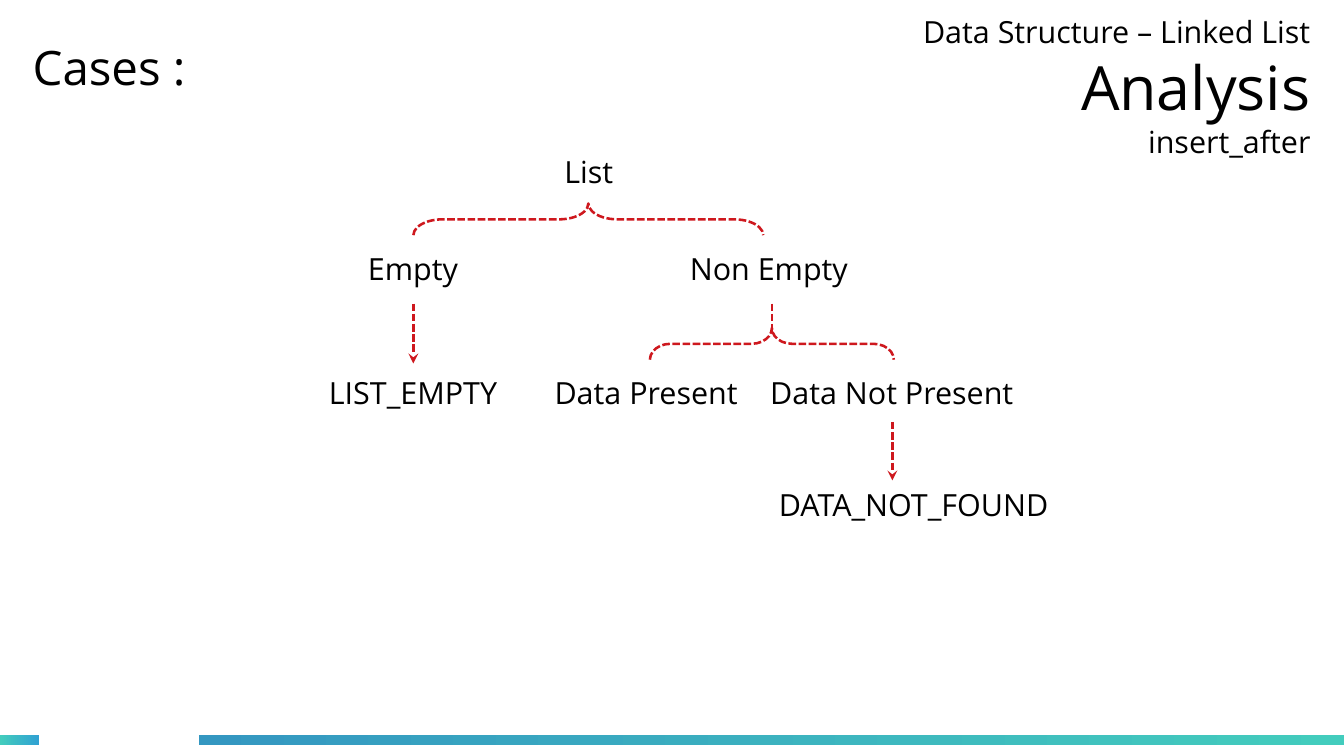
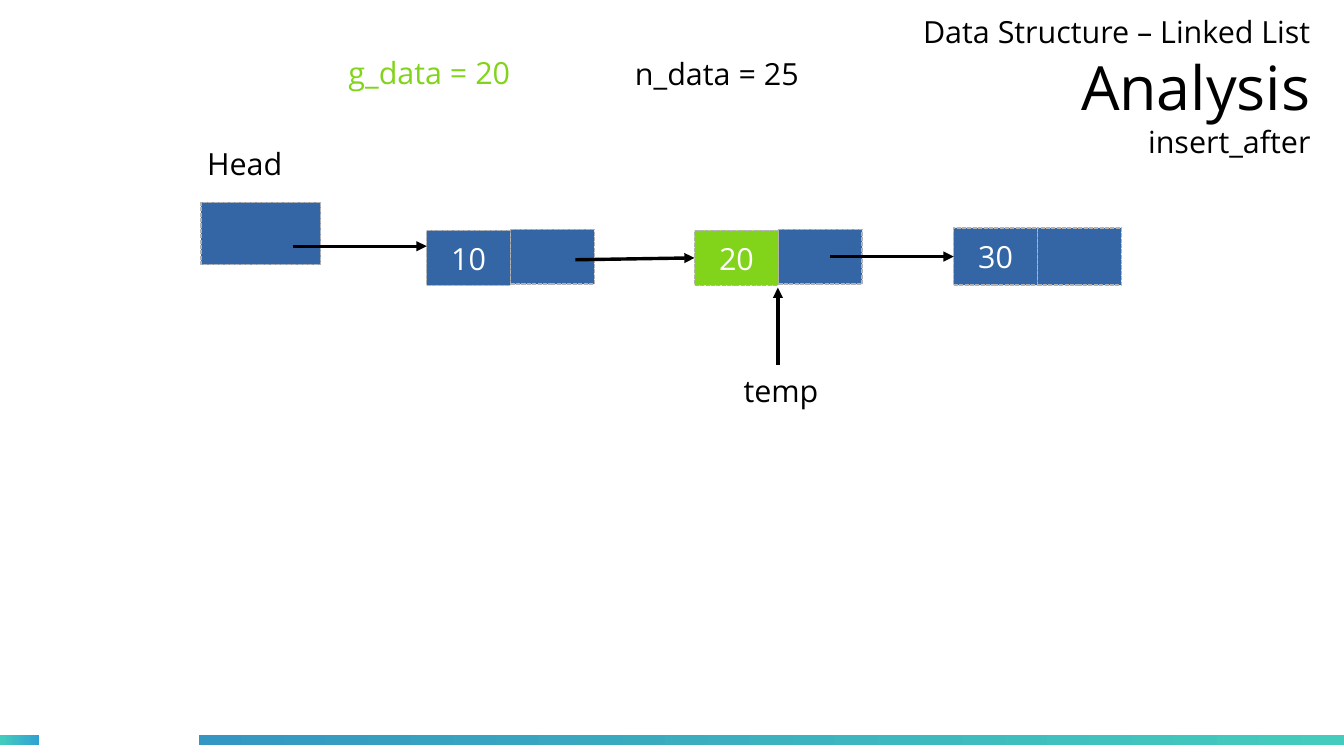
from pptx import Presentation
from pptx.dml.color import RGBColor
from pptx.enum.dml import MSO_LINE
from pptx.enum.shapes import MSO_CONNECTOR, MSO_SHAPE
from pptx.enum.text import MSO_ANCHOR, MSO_AUTO_SIZE, PP_ALIGN
from pptx.oxml.ns import qn
from pptx.util import Pt
from lxml import etree

RECTANGLE = MSO_SHAPE.RECTANGLE
LEFT_BRACE = MSO_SHAPE.LEFT_BRACE
STRAIGHT = MSO_CONNECTOR.STRAIGHT
DASHED = MSO_LINE.SQUARE_DOT
LEFT, CENTER, RIGHT = PP_ALIGN.LEFT, PP_ALIGN.CENTER, PP_ALIGN.RIGHT
TOP, MIDDLE = MSO_ANCHOR.TOP, MSO_ANCHOR.MIDDLE
NO_AUTOFIT = MSO_AUTO_SIZE.NONE
TITLE_ONLY = 5
LEFT_SIDE = 1

FONT = "Open Sans"
BLACK, WHITE = "000000", "FFFFFF"
RED, GREEN, BLUE, GREY = "CE181E", "81D41A", "3465A4", "B2B2B2"
TEAL, SKY, DEEP_SKY = "43CCBD", "30A2D2", "3497C1"

SLIDE_WIDTH, SLIDE_HEIGHT = 793.7, 446.4
BAND_TOP, BAND_HEIGHT = 434.2, 5.8
BANDS = [(0, 23, TEAL, SKY), (117.4, 676.3, DEEP_SKY, TEAL)]
TITLE_LINES = [("Data Structure – Linked List", 18), ("Analysis", 36),
               ("insert_after", 18)]

BRACE_DEPTH = 18.7
CELL_WIDTH = 49.5


def rgb(value):
    return RGBColor.from_string(value)


def write(shape, lines, color, align=LEFT, **frame_format):
    """Fill a shape with one paragraph per (text, size) pair."""
    frame = shape.text_frame
    for attribute, value in frame_format.items():
        setattr(frame, attribute, value)
    for index, (text, size) in enumerate(lines):
        paragraph = frame.add_paragraph() if index else frame.paragraphs[0]
        paragraph.alignment = align
        run = paragraph.add_run()
        run.text = text
        for attribute, value in {"name": FONT, "size": Pt(size)}.items():
            setattr(run.font, attribute, value)
        run.font.color.rgb = rgb(color)


def add_preset(slide, preset, left, top, width, height):
    shape = slide.shapes.add_shape(
        preset, Pt(left), Pt(top), Pt(width), Pt(height))
    shape.shadow.inherit = False
    return shape


def draw_line(line, color, width, dash=None):
    line.color.rgb = rgb(color)
    line.width = Pt(width)
    if dash:
        line.dash_style = dash


def add_band(slide, left, width, start_color, end_color):
    band = add_preset(slide, RECTANGLE, left, BAND_TOP, width, BAND_HEIGHT)
    band.line.fill.background()
    band.fill.gradient()
    band.fill.gradient_angle = 0
    for stop, color in zip(band.fill.gradient_stops, (start_color, end_color)):
        stop.color.rgb = rgb(color)


def add_analysis_slide(prs):
    """Add a slide with the shared title and bottom bands."""
    slide = prs.slides.add_slide(prs.slide_layouts[TITLE_ONLY])
    title = slide.shapes.title
    place = {"left": 524.9, "top": -1.4, "width": 249.1, "height": 104.4}
    for attribute, value in place.items():
        setattr(title, attribute, Pt(value))
    write(title, TITLE_LINES, BLACK, RIGHT, auto_size=NO_AUTOFIT,
          vertical_anchor=MIDDLE, word_wrap=True, margin_left=0,
          margin_top=0, margin_right=0, margin_bottom=0)
    for band in BANDS:
        add_band(slide, *band)
    return slide


def add_label(slide, text, left, top, width, height=31.7, size=18,
              color=BLACK):
    label = slide.shapes.add_textbox(
        Pt(left), Pt(top), Pt(width), Pt(height))
    write(label, [(text, size)], color, word_wrap=True, vertical_anchor=TOP)


def add_brace(slide, center, top, length):
    """Add a dashed brace whose point is up, at (center, top)."""
    brace = add_preset(slide, LEFT_BRACE, center - BRACE_DEPTH / 2,
                       top + (BRACE_DEPTH - length) / 2, BRACE_DEPTH, length)
    brace.rotation = 90
    brace.adjustments[0] = length / 12 / BRACE_DEPTH
    brace.fill.background()
    draw_line(brace.line, RED, 1.5, DASHED)


def add_line(slide, start, end, color, width, head=None, dash=None,
             target=None):
    """Add a line; with a target, join its end to the target's left side."""
    line = slide.shapes.add_connector(STRAIGHT, *map(Pt, start + end))
    if target is not None:
        line.end_connect(target, LEFT_SIDE)
    draw_line(line.line, color, width, dash)
    properties = line.element.spPr
    if head:
        outline = properties.find(qn("a:ln"))
        etree.SubElement(outline, qn("a:tailEnd"), type=head)
    etree.SubElement(properties, qn("a:effectLst"))


def add_branch(slide, x, top, bottom, head=None):
    add_line(slide, (x, top), (x, bottom), RED, 1.5, head, DASHED)


def add_pointer(slide, start, end, target=None):
    add_line(slide, start, end, BLACK, 0, "triangle", target=target)


def add_cell(slide, left, top, width, height, fill=BLUE):
    cell = add_preset(slide, RECTANGLE, left, top, width, height)
    cell.fill.solid()
    cell.fill.fore_color.rgb = rgb(fill)
    draw_line(cell.line, GREY, 0.79, DASHED)
    return cell


def add_node(slide, value, left, top, height, fill=BLUE, link_rise=0.7):
    """Add a list node and return its data cell."""
    add_cell(slide, left + CELL_WIDTH, top - link_rise, CELL_WIDTH, height)
    data = add_cell(slide, left, top, CELL_WIDTH, height, fill)
    write(data, [(value, 18)], WHITE, CENTER, word_wrap=False,
          vertical_anchor=MIDDLE)
    return data


def build_cases(prs):
    slide = add_analysis_slide(prs)
    add_label(slide, "Cases :", 12.2, 18.7, 111.6, 72, 28)

    state_top, outcome_top = 144, 217.4
    for text, left, top, width in [
        ("List", 326.2, 87.1, 46.1),
        ("Empty", 210.2, state_top, 72),
        ("Non Empty", 400.3, state_top, 113.8),
        ("LIST_EMPTY", 187.2, outcome_top, 124.6),
        ("Data Present", 320.4, outcome_top, 130.3),
        ("Data Not Present", 447.8, outcome_top, 167.8),
        ("DATA_NOT_FOUND", 452.9, 283.7, 182.2),
    ]:
        add_label(slide, text, left, top, width)

    non_empty_x = 455.8
    add_brace(slide, 347.4, 120.2, 206.6)
    add_brace(slide, non_empty_x, 193.7, 144)
    add_branch(slide, 244.1, 179.3, 214.6, "stealth")
    add_branch(slide, non_empty_x, 179.3, 195.8)
    add_branch(slide, 527, 249.1, 283.7, "stealth")


def build_list_diagram(prs):
    slide = add_analysis_slide(prs)
    for text, left, top, width, color in [
        ("Head", 115.2, 82.1, 79.9, BLACK),
        ("g_data = 20", 198.7, 28.1, 181.4, GREEN),
        ("n_data = 25", 367.9, 28.8, 136.1, BLACK),
        ("temp", 432, 216, 78.5, BLACK),
    ]:
        add_label(slide, text, left, top, width, 33.8, color=color)

    add_cell(slide, 118.8, 119.5, 70.6, 36.7)
    add_node(slide, "10", 252, 136.1, 32.4)
    second = add_node(slide, "20", 410.2, 136.1, 32.4, GREEN)
    third = add_node(slide, "30", 563.2, 134.6, 33.8, link_rise=0)

    add_pointer(slide, (172.8, 145.4), (252, 145.4))
    add_pointer(slide, (339.8, 153.4), (410.2, 152.3), second)
    add_pointer(slide, (490.3, 151.5), (563.2, 151.5), third)
    add_pointer(slide, (459.4, 215.3), (459.4, 169.9))


def main():
    prs = Presentation()
    prs.slide_width, prs.slide_height = Pt(SLIDE_WIDTH), Pt(SLIDE_HEIGHT)
    build_cases(prs)
    build_list_diagram(prs)
    prs.save("out.pptx")


if __name__ == "__main__":
    main()
